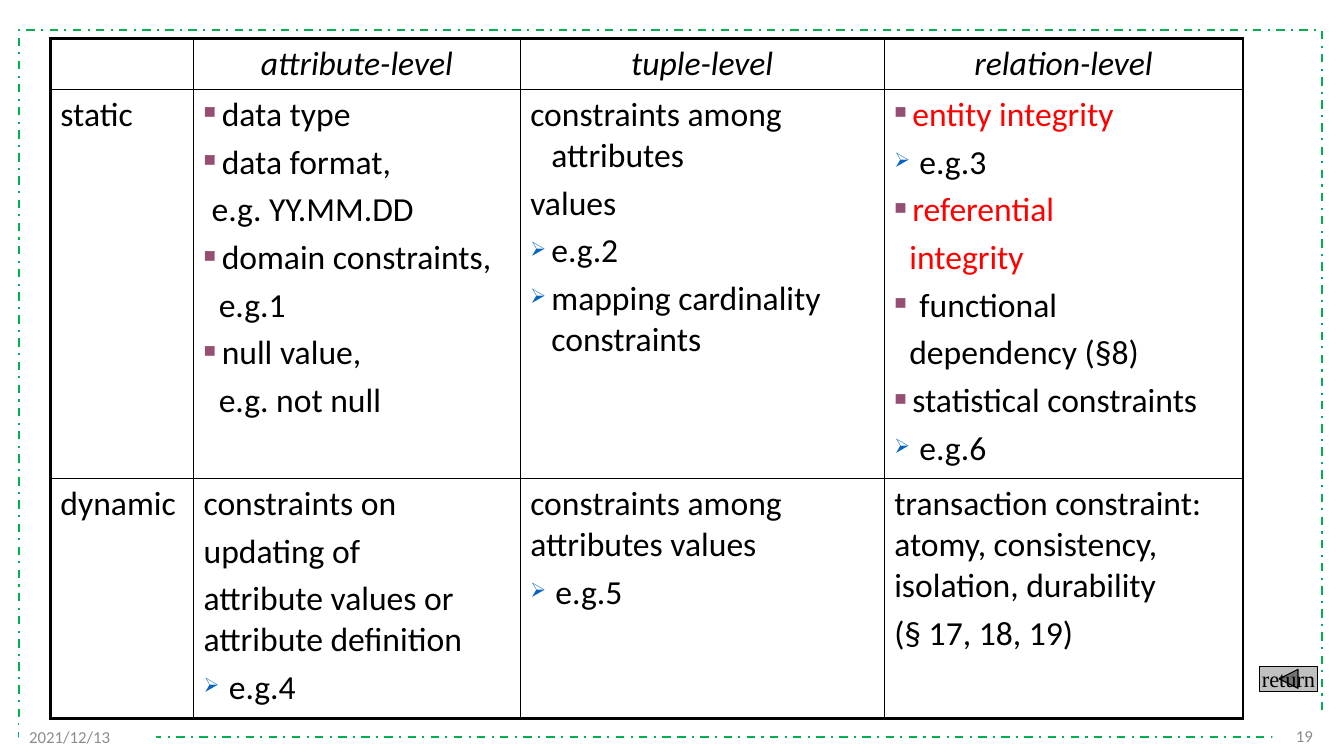
"""Build the slide that classifies integrity constraints by level and by state."""
import dataclasses
import typing

import lxml.etree
import pptx
import pptx.dml.color
import pptx.enum.dml
import pptx.enum.shapes
import pptx.enum.text
import pptx.oxml.ns
import pptx.util

Inches = pptx.util.Inches
Pt = pptx.util.Pt
Shape = pptx.enum.shapes.MSO_SHAPE
Align = pptx.enum.text.PP_ALIGN
qn = pptx.oxml.ns.qn

BLACK, RED, GREY, WHITE = "000000", "FF0000", "8C8C8C", "FFFFFF"


@dataclasses.dataclass(frozen=True)
class Bullet:
    char: str
    color: str
    percent: int


@dataclasses.dataclass(frozen=True)
class Line:
    text: str
    bullet: typing.Optional[Bullet] = None
    left: float = 0
    hanging: float = 0
    color: str = BLACK
    italic: bool = False
    align: Align = Align.LEFT


@dataclasses.dataclass(frozen=True)
class Block:
    kind: Shape
    at: tuple[float, float, float, float]
    fill: typing.Optional[str] = None
    outline: typing.Optional[tuple[str, float]] = None
    dash: typing.Optional[pptx.enum.dml.MSO_LINE] = None
    text: str = ""
    align: Align = Align.LEFT
    size: float = 12
    font: str = "Calibri"
    color: str = GREY
    wrap: bool = True


SQUARE = Bullet("■", "954F72", 50)
ARROW = Bullet("➢", "0563C1", 60)


def point(text: str, color: str = BLACK, left: float = 0.18) -> Line:
    return Line(text, SQUARE, left, left, color)


def example(text: str, left: float = 0.25) -> Line:
    return Line(text, ARROW, left, left)


def heading(text: str) -> Line:
    return Line(text, italic=True, align=Align.CENTER)


COLUMNS = (1.42, 3.24, 3.61, 3.56)
ROWS = (0.5, 3.86, 2.38)
CELLS = (
    ((), (heading("attribute-level"),), (heading("tuple-level"),), (heading("relation-level"),)),
    (
        (Line("static"),),
        (
            point("data type"),
            point("data format,"),
            Line("e.g. YY.MM.DD", left=0.08),
            point("domain constraints,"),
            Line("e.g.1", left=0.15),
            point("null value,"),
            Line("e.g. not null", left=0.15),
        ),
        (
            Line("constraints among attributes", left=0.21, hanging=0.21),
            Line("values"),
            example("e.g.2", 0.21),
            example("mapping cardinality constraints", 0.21),
        ),
        (
            point("entity integrity", RED),
            example("e.g.3"),
            point("referential", RED),
            Line("integrity", left=0.15, color=RED),
            point("functional", left=0.25),
            Line("dependency (§8)", left=0.15),
            point("statistical constraints"),
            example("e.g.6"),
        ),
    ),
    (
        (Line("dynamic"),),
        (
            Line("constraints on"),
            Line("updating of"),
            Line("attribute values or attribute definition"),
            example("e.g.4"),
        ),
        (Line("constraints among attributes values"), example("e.g.5")),
        (
            Line("transaction constraint: atomy, consistency, isolation, durability"),
            Line("(§ 17, 18, 19)"),
        ),
    ),
)
BLOCKS = (
    Block(Shape.RECTANGLE, (0.19, 0.3, 12.92, 7.01), outline=("00B050", 1.5),
          dash=pptx.enum.dml.MSO_LINE.DASH_DOT),
    Block(Shape.RECTANGLE, (12.62, 7.1, 0.5, 0.4), WHITE, text="19", align=Align.RIGHT),
    Block(Shape.RECTANGLE, (0.19, 7.11, 1.36, 0.4), WHITE, text="2021/12/13"),
    Block(Shape.ACTION_BUTTON_BACK_OR_PREVIOUS, (12.49, 6.61, 0.58, 0.25), "C0C0C0",
          (BLACK, 0.75), text="return", align=Align.CENTER, size=16,
          font="Times New Roman", color=BLACK, wrap=False),
)


def rgb(color: str) -> pptx.dml.color.RGBColor:
    return pptx.dml.color.RGBColor.from_string(color)


def write(para, text: str, color: str, formats: dict[str, typing.Any]) -> None:
    span = para.add_run()
    span.text = text
    span.font.color.rgb = rgb(color)
    for name, value in formats.items():
        setattr(span.font, name, value)


def draw_block(page, block: Block) -> None:
    box = page.shapes.add_shape(block.kind, *map(Inches, block.at))
    box.shadow.inherit = False
    if block.fill:
        box.fill.solid()
        box.fill.fore_color.rgb = rgb(block.fill)
    else:
        box.fill.background()
    if block.outline:
        color, width = block.outline
        box.line.color.rgb = rgb(color)
        box.line.width = Pt(width)
        if block.dash:
            box.line.dash_style = block.dash
    else:
        box.line.fill.background()
    if block.text:
        box.text_frame.word_wrap = block.wrap
        box.text_frame.vertical_anchor = pptx.enum.text.MSO_ANCHOR.MIDDLE
        para = box.text_frame.paragraphs[0]
        para.alignment = block.align
        write(para, block.text, block.color, {"size": Pt(block.size), "name": block.font})


def write_line(para, line: Line, first: bool) -> None:
    properties = para._p.get_or_add_pPr()
    properties.set("marL", str(Inches(line.left)))
    properties.set("indent", str(-Inches(line.hanging)))
    if line.bullet:
        tint = lxml.etree.SubElement(properties, qn("a:buClr"))
        lxml.etree.SubElement(tint, qn("a:srgbClr"), val=line.bullet.color)
        lxml.etree.SubElement(properties, qn("a:buSzPct"), val=str(line.bullet.percent * 1000))
        lxml.etree.SubElement(properties, qn("a:buChar"), char=line.bullet.char)
    para.alignment = line.align
    para.space_before = Pt(0 if first else 4.8)
    write(para, line.text, line.color,
          {"size": Pt(24), "name": "Calibri", "italic": line.italic, "bold": False})


def draw_borders(cell, outer: dict[str, bool]) -> None:
    properties = cell._tc.get_or_add_tcPr()
    for side, thick in outer.items():
        width = Pt(2.25 if thick else 1)
        edge = lxml.etree.SubElement(properties, qn(f"a:ln{side}"), w=str(width))
        fill = lxml.etree.SubElement(edge, qn("a:solidFill"))
        lxml.etree.SubElement(fill, qn("a:srgbClr"), val=BLACK)


def draw_table(page) -> None:
    frame = page.shapes.add_table(len(ROWS), len(COLUMNS), Inches(0.5), Inches(0.38),
                                  Inches(sum(COLUMNS)), Inches(sum(ROWS)))
    table = frame.table
    for name in ("first_row", "horz_banding"):
        setattr(table, name, False)
    for column, width in zip(table.columns, COLUMNS):
        column.width = Inches(width)
    for r, (row, height) in enumerate(zip(table.rows, ROWS)):
        row.height = Inches(height)
        for c, cell in enumerate(row.cells):
            draw_borders(cell, {"L": c == 0, "R": c == len(COLUMNS) - 1,
                                "T": r == 0, "B": r == len(ROWS) - 1})
            cell.fill.background()
            for i, line in enumerate(CELLS[r][c]):
                words = cell.text_frame
                write_line(words.add_paragraph() if i else words.paragraphs[0], line, i == 0)


def main() -> None:
    deck = pptx.Presentation()
    deck.slide_width, deck.slide_height = Inches(13.33), Inches(7.5)
    page = deck.slides.add_slide(deck.slide_layouts[6])
    for block in BLOCKS:
        draw_block(page, block)
    draw_table(page)
    deck.save("out.pptx")


if __name__ == "__main__":
    main()
